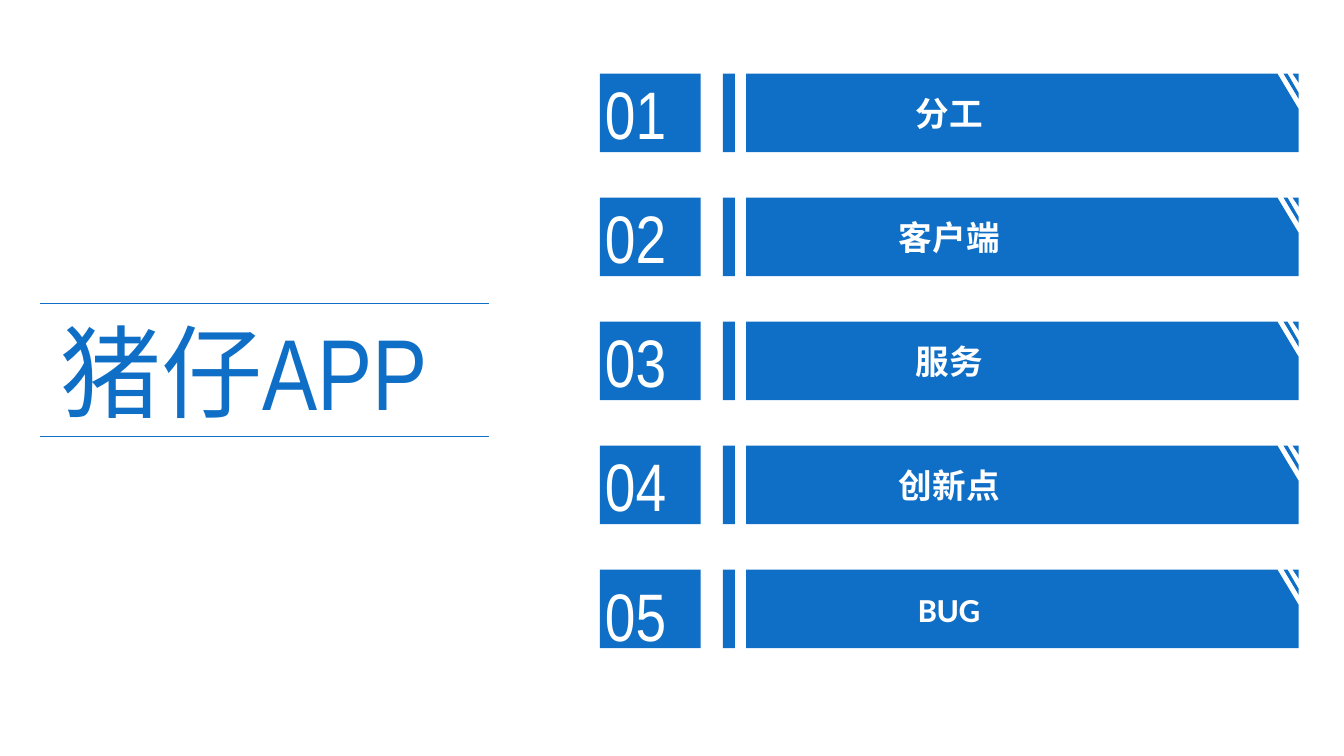
import dataclasses

import lxml.etree
import pptx
import pptx.dml.color
import pptx.enum.shapes
import pptx.enum.text
import pptx.oxml.ns
import pptx.util

PX = 9144
BLUE = "0F6FC6"
WHITE = "FFFFFF"
LEFT, TOP, PITCH = 595, 73, 123
BAR_WIDTH, BAR_HEIGHT = 693, 78
LABEL_OFFSET, LABEL_HEIGHT = 14, 50
RULE_LEFT, RULE_RIGHT = 40, 485
RULE_TOPS = (301, 433)

BAR_OUTLINES = (
    ((687, 0), (693, 0), (693, 9)),
    ((678, 0), (682, 0), (693, 19), (693, 25)),
    ((145, 0), (672, 0), (693, 35), (693, BAR_HEIGHT), (145, BAR_HEIGHT)),
    ((122, 0), (134, 0), (134, BAR_HEIGHT), (122, BAR_HEIGHT)),
    ((0, 0), (100, 0), (100, BAR_HEIGHT), (0, BAR_HEIGHT)),
)


@dataclasses.dataclass(frozen=True)
class Style:
    size: int
    font: str
    color: str
    bold: bool = False
    align: pptx.enum.text.PP_ALIGN = pptx.enum.text.PP_ALIGN.LEFT
    anchor: pptx.enum.text.MSO_ANCHOR = pptx.enum.text.MSO_ANCHOR.TOP


@dataclasses.dataclass(frozen=True)
class Section:
    number: str
    label: str
    number_offset: int = -6
    number_width: int = 115


TITLE = Style(72, "Arial Narrow", BLUE)
NUMBER = Style(48, "Arial Narrow", WHITE)
LABEL = Style(
    24, "Calibri", WHITE, True,
    pptx.enum.text.PP_ALIGN.CENTER, pptx.enum.text.MSO_ANCHOR.MIDDLE,
)

SECTIONS = (
    Section("01", "分工", number_width=101),
    Section("02", "客户端"),
    Section("03", "服务"),
    Section("04", "创新点"),
    Section("05", "BUG", number_offset=0),
)


def px(value: int) -> pptx.util.Emu:
    return pptx.util.Emu(value * PX)


def rgb(color: str) -> pptx.dml.color.RGBColor:
    return pptx.dml.color.RGBColor.from_string(color)


def add_text(shapes, text: str, left: int, top: int, width: int, height: int,
             style: Style) -> None:
    s = shapes.add_textbox(px(left), px(top), px(width), px(height))
    tf = s.text_frame
    tf.text = text
    tf.word_wrap = True
    tf.auto_size = pptx.enum.text.MSO_AUTO_SIZE.SHAPE_TO_FIT_TEXT
    tf.vertical_anchor = style.anchor
    tf.margin_left = tf.margin_right = tf.margin_top = tf.margin_bottom = px(5)
    p = tf.paragraphs[0]
    p.alignment = style.align
    r = p.runs[0]
    r.font.size = pptx.util.Pt(style.size)
    r.font.name = style.font
    r.font.bold = style.bold
    r.font.color.rgb = rgb(style.color)


def add_bar(shapes, left: int, top: int) -> None:
    first, *others = BAR_OUTLINES
    builder = shapes.build_freeform(left + first[0][0], top + first[0][1], PX)
    builder.add_line_segments([(left + x, top + y) for x, y in first[1:]])
    for outline in others:
        points = [(left + x, top + y) for x, y in outline]
        builder.move_to(*points[0])
        builder.add_line_segments(points[1:])
    s = builder.convert_to_shape()
    s.shadow.inherit = False
    s.fill.solid()
    s.fill.fore_color.rgb = rgb(BLUE)
    s.line.fill.background()


def add_section(shapes, section: Section, top: int) -> None:
    group = shapes.add_group_shape()
    add_bar(group.shapes, LEFT, top)
    add_text(group.shapes, section.label, LEFT, top + LABEL_OFFSET,
             BAR_WIDTH, LABEL_HEIGHT, LABEL)
    add_text(shapes, section.number, LEFT, top + section.number_offset,
             section.number_width, 91, NUMBER)


def add_rule(shapes, top: int) -> None:
    s = shapes.add_connector(
        pptx.enum.shapes.MSO_CONNECTOR.STRAIGHT,
        px(RULE_LEFT), px(top), px(RULE_RIGHT), px(top),
    )
    s.line.color.rgb = rgb(BLUE)
    s.line.width = pptx.util.Pt(0.5)
    lxml.etree.SubElement(s._element.spPr, pptx.oxml.ns.qn("a:effectLst"))


def main() -> None:
    prs = pptx.Presentation()
    prs.slide_width = pptx.util.Inches(13.33)
    prs.slide_height = pptx.util.Inches(7.5)
    shapes = prs.slides.add_slide(prs.slide_layouts[6]).shapes
    for index, section in enumerate(SECTIONS):
        add_section(shapes, section, TOP + index * PITCH)
    add_text(shapes, "猪仔APP", 55, 302, 446, 131, TITLE)
    for top in RULE_TOPS:
        add_rule(shapes, top)
    prs.save("out.pptx")


if __name__ == "__main__":
    main()
